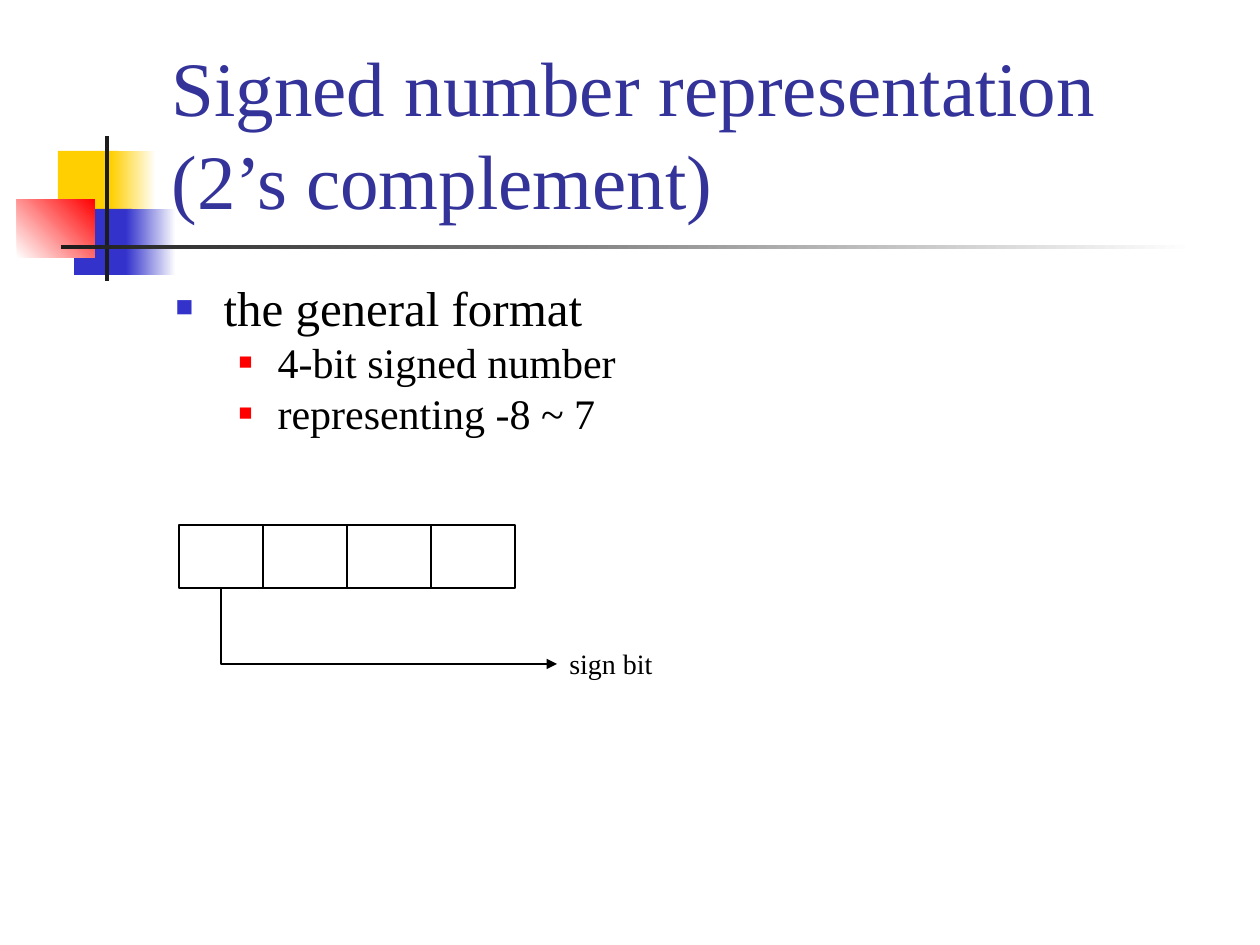
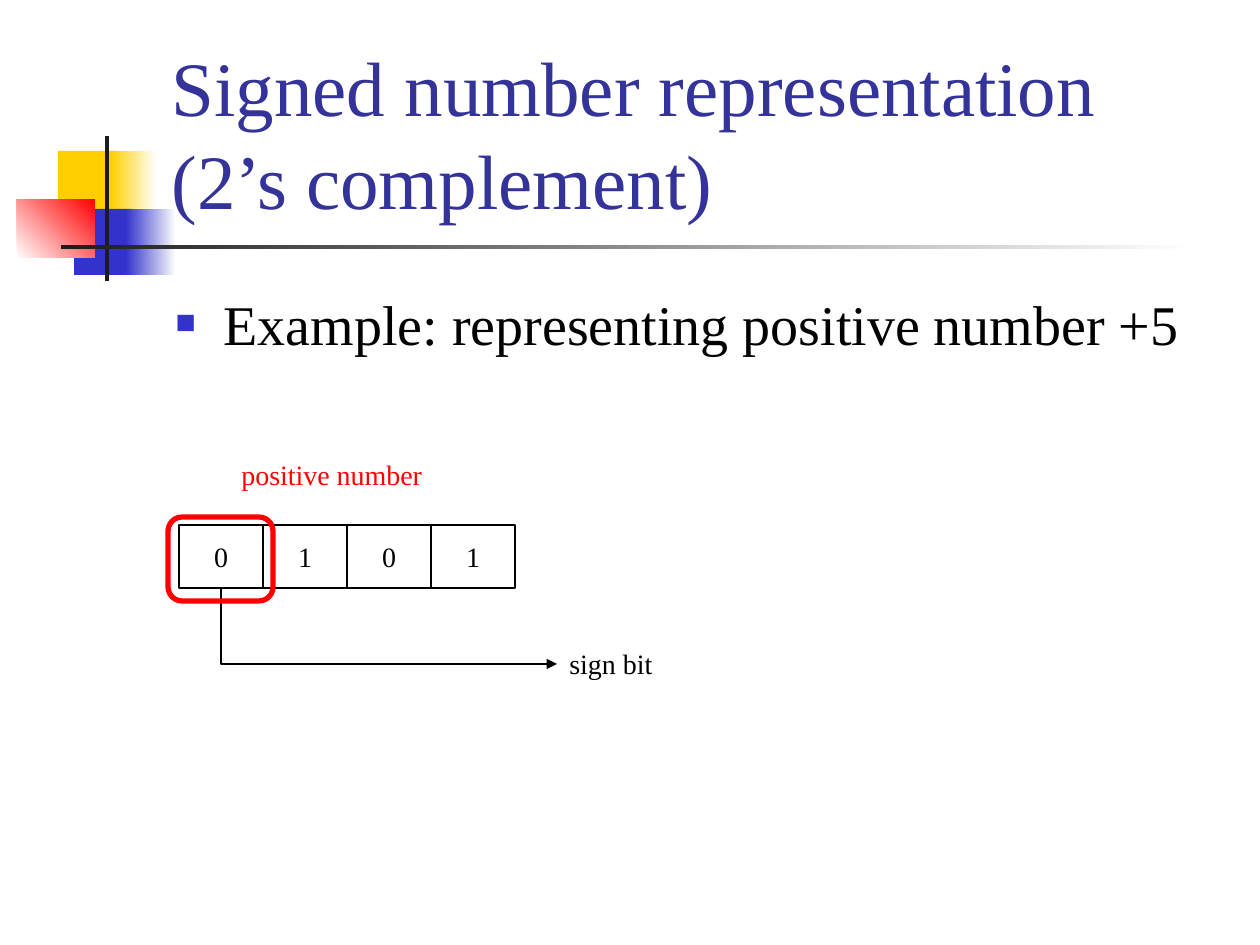
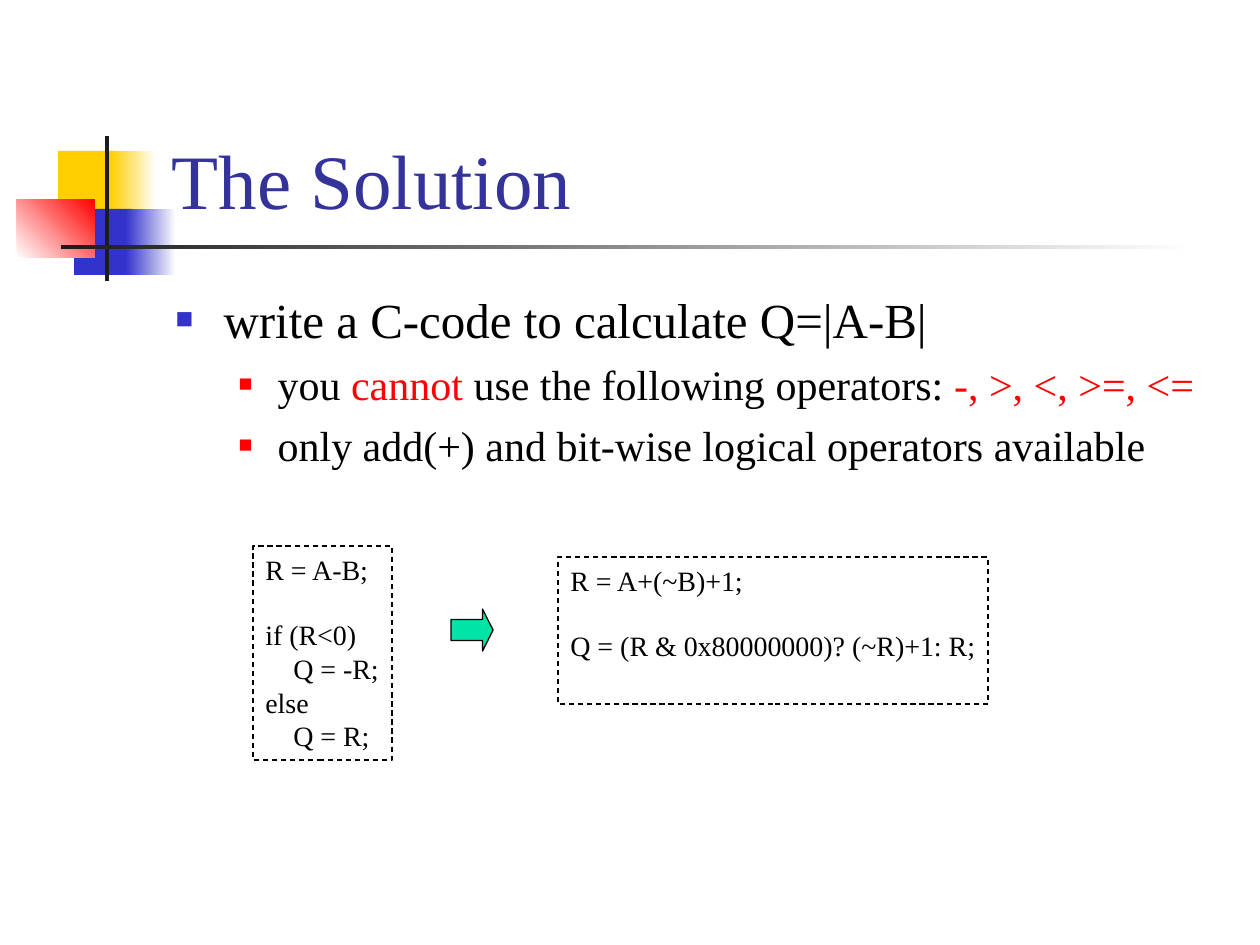
import dataclasses

import lxml.etree
import pptx
import pptx.dml.color
import pptx.enum.dml
import pptx.enum.shapes
import pptx.enum.text
import pptx.oxml.ns
import pptx.util

SHAPE = pptx.enum.shapes.MSO_SHAPE
ALIGN = pptx.enum.text.PP_ALIGN
ANCHOR = pptx.enum.text.MSO_ANCHOR
DASH = pptx.enum.dml.MSO_LINE.DASH


@dataclasses.dataclass(frozen=True)
class Theme:
    """Colours, font and type sizes of the deck."""

    font: str = "Times New Roman"
    ink: str = "000000"
    white: str = "FFFFFF"
    title: str = "333399"
    blue: str = "3333CC"
    red: str = "FF0000"
    gold: str = "FFCF01"
    dark: str = "1C1C1C"
    mint: str = "00E4A8"
    head: int = 44
    large: int = 32
    main: int = 28
    sub: int = 24
    small: int = 16
    thin: float = 0.75
    thick: int = 3


THEME = Theme()
CELL_X, CELL_Y, CELL_W, CELL_H = 179, 525, 84, 63


def px(count):
    """Turn pixels into EMU."""
    return pptx.util.Emu(round(count * 914400 / 126))


def rgb(code):
    """Turn a hex code into a colour."""
    return pptx.dml.color.RGBColor.from_string(code)


def child(node, tag, **attrs):
    """Append a drawing element to a node."""
    return lxml.etree.SubElement(node, pptx.oxml.ns.qn(tag), **attrs)


def place(shape, box):
    """Move a shape to a box given in pixels."""
    shape.left, shape.top, shape.width, shape.height = map(px, box)


def write(frame, rows, size=THEME.small, color=THEME.ink, align=ALIGN.LEFT,
          anchor=ANCHOR.TOP, wrap=False):
    """Fill a frame with rows, each a string or a list of (text, colour)."""
    frame.auto_size = pptx.enum.text.MSO_AUTO_SIZE.NONE
    frame.word_wrap = wrap
    frame.vertical_anchor = anchor
    for index, row in enumerate(rows):
        para = frame.add_paragraph() if index else frame.paragraphs[0]
        para.alignment = align
        for text, tone in [(row, color)] if isinstance(row, str) else row:
            run = para.add_run()
            run.text = text
            run.font.name = THEME.font
            run.font.size = pptx.util.Pt(size)
            run.font.color.rgb = rgb(tone)
    return frame.paragraphs


def draw(slide, kind, box, fill=None, line=None, width=THEME.thin, dash=None):
    """Add a preset shape; a pair of colours as fill makes a gradient."""
    shape = slide.shapes.add_shape(kind, *map(px, box))
    shape.shadow.inherit = False
    if isinstance(fill, tuple):
        shape.fill.gradient()
        shape.fill.gradient_angle = 0
        for stop, tone in zip(shape.fill.gradient_stops, fill):
            stop.color.rgb = rgb(tone)
    elif fill:
        shape.fill.solid()
        shape.fill.fore_color.rgb = rgb(fill)
    else:
        shape.fill.background()
    if line:
        shape.line.color.rgb = rgb(line)
        shape.line.width = pptx.util.Pt(width)
        shape.line.dash_style = dash
    else:
        shape.line.fill.background()
    return shape


def label(slide, box, text, **style):
    """Add a one-line text box."""
    write(slide.shapes.add_textbox(*map(px, box)).text_frame, [text], **style)


def adorn(slide, layout):
    """Draw the shared squares and rules and move them to the layout."""
    blocks = [
        ((58, 151, 60, 66), THEME.gold),
        ((111, 151, 45, 66), (THEME.gold, THEME.white)),
        ((74, 209, 58, 66), THEME.blue),
        ((126, 209, 50, 66), (THEME.blue, THEME.white)),
        ((17, 199, 78, 59), (THEME.white, THEME.red)),
        ((105, 136, 4, 145), THEME.dark),
        ((61, 245, 1134, 4), (THEME.dark, THEME.white)),
    ]
    for index, (box, fill) in enumerate(blocks):
        shape = draw(slide, SHAPE.RECTANGLE, box, fill)
        if fill == (THEME.white, THEME.red):
            shape.fill.gradient_angle = 45
        shape.element.nvSpPr.cNvPr.id = 20 + index
        layout.shapes.element.append(shape.element)


def head(slide, text):
    """Set the title."""
    title = slide.shapes.title
    place(title, (159, 29, 1074, 202))
    write(title.text_frame, [text], size=THEME.head, color=THEME.title,
          anchor=ANCHOR.BOTTOM, wrap=True)


def bullet(para, level):
    """Give a paragraph the square bullet of its level."""
    left, hang, tone, scale = [(48, 48, THEME.blue, 60),
                               (102, 39, THEME.red, 55)][level]
    para.level = level
    props = para._p.get_or_add_pPr()
    props.set("marL", str(px(left)))
    props.set("indent", str(-px(hang)))
    child(child(props, "a:buClr"), "a:srgbClr", val=tone)
    child(props, "a:buSzPct", val=str(scale * 1000))
    child(props, "a:buFont", typeface=THEME.font)
    child(props, "a:buChar", char="■")


def bullets(slide, rows, size=THEME.main, height=174, spacing=1.0):
    """Fill the body with one main point and its sub-points."""
    body = slide.placeholders[1]
    place(body, (163, 278, 1071, height))
    body.text_frame.margin_top = px(11)
    paras = write(body.text_frame, rows, size=size, wrap=True)
    for index, para in enumerate(paras):
        para.line_spacing = spacing
        para.space_before = pptx.util.Pt(6 if index else 0)
        bullet(para, min(index, 1))
        if index:
            for run in para.runs:
                run.font.size = pptx.util.Pt(THEME.sub)


def elbow(slide, start, end):
    """Add an arrow that goes down and then right."""
    (left, top), (right, foot) = start, end
    mid_x, mid_y = (left + right) / 2, (top + foot) / 2
    half_w, half_h = (foot - top) / 2, (right - left) / 2
    arrow = slide.shapes.add_connector(
        pptx.enum.shapes.MSO_CONNECTOR.ELBOW,
        px(mid_x + half_w), px(mid_y - half_h),
        px(mid_x - half_w), px(mid_y + half_h))
    arrow.line.color.rgb = rgb(THEME.ink)
    arrow.line.width = pptx.util.Pt(THEME.thin)
    props = arrow.element.spPr
    props.find(pptx.oxml.ns.qn("a:xfrm")).set("rot", "16200000")
    props.find(pptx.oxml.ns.qn("a:prstGeom")).set("prst", "bentConnector2")
    child(props.find(pptx.oxml.ns.qn("a:ln")), "a:tailEnd", type="triangle")
    child(props, "a:effectLst")


def word(slide, bits):
    """Draw a row of bit cells with the sign bit pointed out."""
    for index, bit in enumerate(bits):
        box = (CELL_X + index * CELL_W, CELL_Y, CELL_W, CELL_H)
        cell = draw(slide, SHAPE.RECTANGLE, box, line=THEME.ink)
        if bit:
            write(cell.text_frame, [bit], align=ALIGN.CENTER,
                  anchor=ANCHOR.MIDDLE)
    label(slide, (557, 640, 108, 47), "sign bit")
    elbow(slide, (CELL_X + CELL_W // 2, CELL_Y + CELL_H), (557, 664))


def code(slide, box, rows):
    """Add a dashed code box with a gap of one line after the first row."""
    frame = draw(slide, SHAPE.RECTANGLE, box, line=THEME.ink,
                 dash=DASH).text_frame
    write(frame, rows)[1].space_before = pptx.util.Pt(18.4)


def form(slide):
    """Build the general format slide."""
    head(slide, "Signed number representation (2’s complement)")
    bullets(slide, ["the general format", "4-bit signed number",
                    "representing -8 ~ 7"], spacing=0.8)
    word(slide, [""] * 4)


def plus(slide):
    """Build the positive number slide."""
    head(slide, "Signed number representation (2’s complement)")
    bullets(slide, ["Example: representing positive number +5"],
            size=THEME.large)
    word(slide, "0101")
    draw(slide, SHAPE.ROUNDED_RECTANGLE, (168, 517, 105, 84),
         line=THEME.red, width=THEME.thick)
    label(slide, (229, 451, 205, 47), "positive number", color=THEME.red)


def solve(slide):
    """Build the solution slide."""
    head(slide, "The Solution")
    bullets(slide, [
        "write a C-code to calculate Q=|A-B|",
        [("you ", THEME.ink), ("cannot", THEME.red),
         (" use the following operators: ", THEME.ink),
         ("-, >, <, >=, <=", THEME.red)],
        "only add(+) and bit-wise logical operators available",
    ], height=215)
    code(slide, (558, 557, 430, 147),
         ["R = A+(~B)+1;", "Q = (R & 0x80000000)? (~R)+1: R;"])
    code(slide, (253, 546, 139, 214),
         ["R = A-B;", "if (R<0)", "    Q = -R;", "else", "    Q = R;"])
    arrow = draw(slide, SHAPE.RIGHT_ARROW, (451, 609, 42, 42),
                 THEME.mint, THEME.ink)
    arrow.adjustments[1] = 0.25


def main():
    """Build and save the deck."""
    deck = pptx.Presentation()
    deck.slide_width, deck.slide_height = px(1260), px(945)
    layout = deck.slide_layouts[1]
    for index, build in enumerate((form, plus, solve)):
        slide = deck.slides.add_slide(layout)
        if not index:
            adorn(slide, layout)
        build(slide)
    deck.save("out.pptx")


if __name__ == "__main__":
    main()
